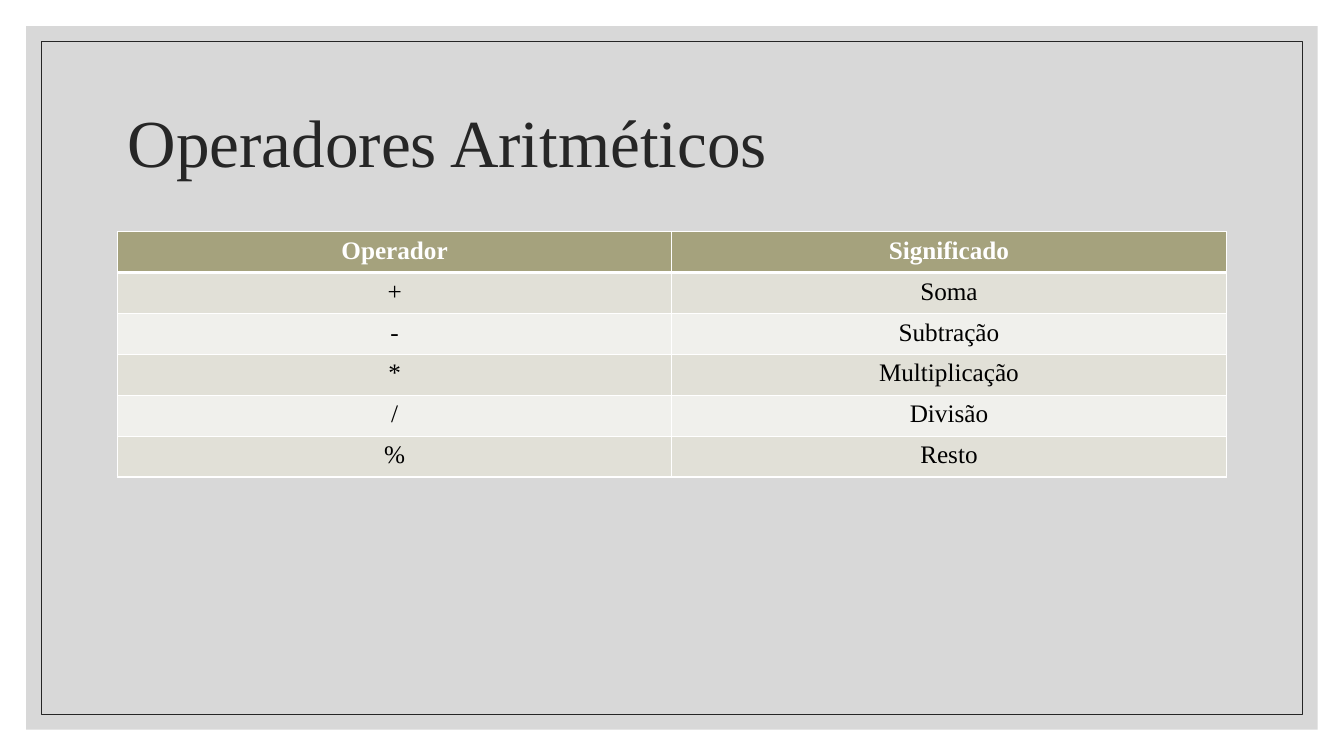
"""Build a slide with a table of arithmetic operators."""
from lxml import etree
from pptx import Presentation
from pptx.dml.color import RGBColor
from pptx.enum.shapes import MSO_SHAPE
from pptx.enum.text import MSO_ANCHOR, PP_ALIGN
from pptx.oxml.ns import qn
from pptx.util import Cm, Pt

RECTANGLE = MSO_SHAPE.RECTANGLE
MIDDLE = MSO_ANCHOR.MIDDLE
LEFT, CENTER = PP_ALIGN.LEFT, PP_ALIGN.CENTER

FONT = "Times New Roman"
WHITE = RGBColor(0xFF, 0xFF, 0xFF)
BLACK = RGBColor(0x00, 0x00, 0x00)
INK = RGBColor(0x26, 0x26, 0x26)
GRAY = RGBColor(0xBF, 0xBF, 0xBF)
OLIVE = RGBColor(0xA5, 0xA2, 0x7D)
BANDS = (RGBColor(0xE1, 0xE0, 0xD7), RGBColor(0xF0, 0xF0, 0xEC))

PAGE_WIDTH, PAGE_HEIGHT = Cm(33.87), Cm(19.05)
CONTENT_LEFT, CONTENT_WIDTH = Cm(2.96), Cm(27.94)
ROW_HEIGHT = Cm(1.03)

OPERATORS = (
    ("Operador", "Significado"),
    ("+", "Soma"),
    ("-", "Subtração"),
    ("*", "Multiplicação"),
    ("/", "Divisão"),
    ("%", "Resto"),
)


def add_frame(page, margin):
    box = page.shapes.add_shape(
        RECTANGLE, margin, margin, PAGE_WIDTH - 2 * margin, PAGE_HEIGHT - 2 * margin
    )
    box.shadow.inherit = False
    return box


def add_panel(page):
    box = add_frame(page, Cm(0.66))
    box.fill.solid()
    box.fill.fore_color.rgb = GRAY
    box.line.fill.background()
    color = box._element.spPr.find(qn("a:solidFill")).find(qn("a:srgbClr"))
    etree.SubElement(color, qn("a:alpha"), val="60000")


def add_outline(page):
    box = add_frame(page, Cm(1.04))
    box.fill.background()
    box.line.color.rgb = INK
    box.line.width = Pt(0.5)


def write_text(frame, text, size, color, align, bold=False):
    para = frame.paragraphs[0]
    para.alignment = align
    span = para.add_run()
    span.text = text
    span.font.name = FONT
    span.font.size = Pt(size)
    span.font.bold = bold
    span.font.color.rgb = color
    return para


def set_title(page, text):
    title = page.shapes.title
    title.left, title.top = CONTENT_LEFT, Cm(1.78)
    title.width, title.height = CONTENT_WIDTH, Cm(3.81)
    title.text_frame.vertical_anchor = MIDDLE
    para = write_text(title.text_frame, text, 48, INK, LEFT)
    para.line_spacing = 0.9
    page.shapes._spTree.append(title._element)


def set_borders(cell, widths):
    properties = cell._tc.get_or_add_tcPr()
    for index, (side, width) in enumerate(widths.items()):
        line = etree.Element(qn(f"a:ln{side}"), w=str(Pt(width)))
        fill = etree.SubElement(line, qn("a:solidFill"))
        etree.SubElement(fill, qn("a:srgbClr"), val=str(WHITE))
        properties.insert(index, line)


def add_operator_table(page, rows):
    table = page.shapes.add_table(
        len(rows), len(rows[0]), CONTENT_LEFT, Cm(5.84),
        CONTENT_WIDTH, ROW_HEIGHT * len(rows),
    ).table
    for row_index, texts in enumerate(rows):
        header = row_index == 0
        for column_index, text in enumerate(texts):
            cell = table.cell(row_index, column_index)
            cell.fill.solid()
            cell.fill.fore_color.rgb = OLIVE if header else BANDS[(row_index - 1) % 2]
            top = 3 if row_index == 1 else 1
            bottom = 3 if header else 1
            set_borders(cell, {"L": 1, "R": 1, "T": top, "B": bottom})
            color = WHITE if header else BLACK
            write_text(cell.text_frame, text, 18, color, CENTER, header)


def main():
    deck = Presentation()
    deck.slide_width, deck.slide_height = PAGE_WIDTH, PAGE_HEIGHT
    page = deck.slides.add_slide(deck.slide_layouts.get_by_name("Title Only"))
    add_panel(page)
    add_outline(page)
    set_title(page, "Operadores Aritméticos")
    add_operator_table(page, OPERATORS)
    deck.save("out.pptx")


if __name__ == "__main__":
    main()
